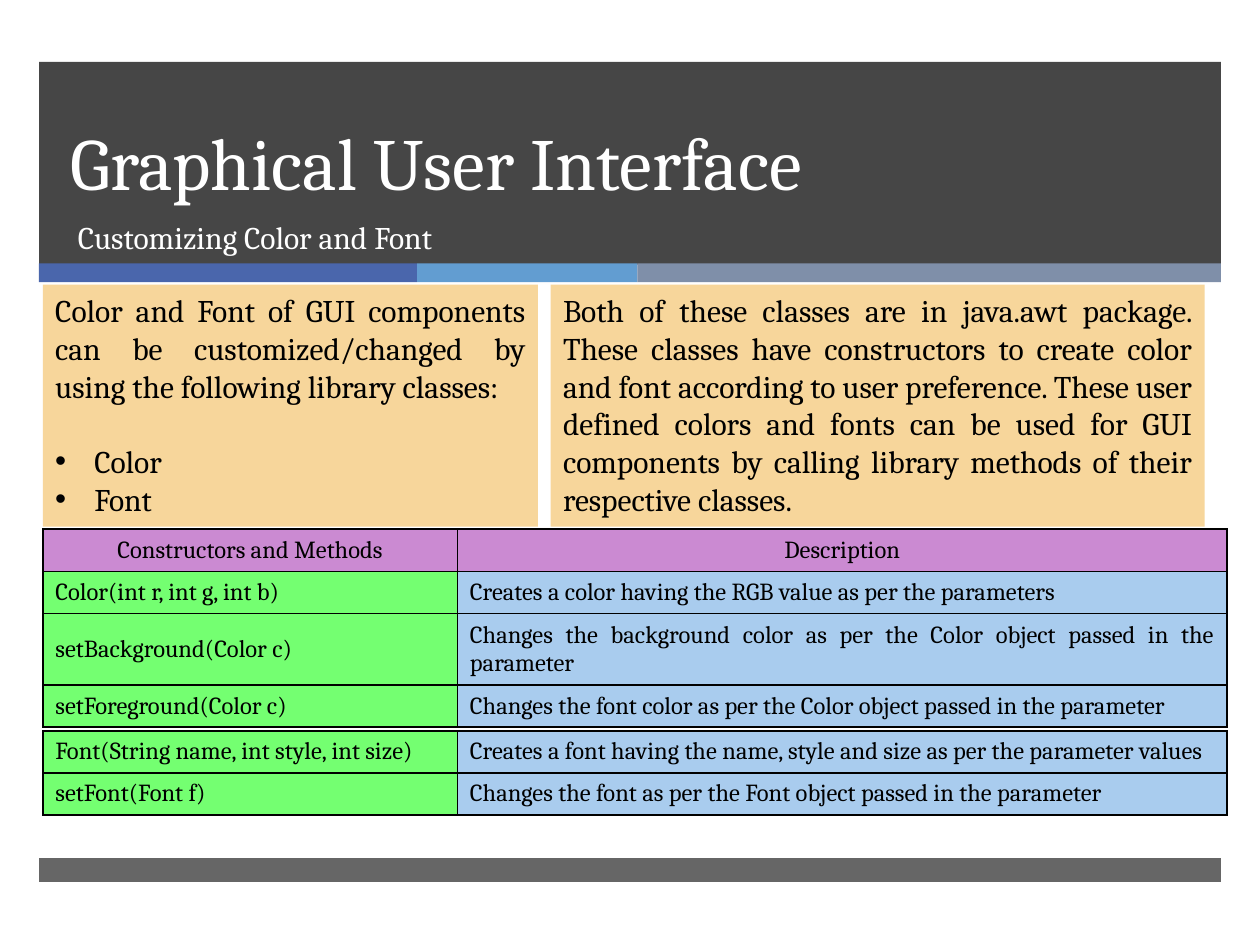
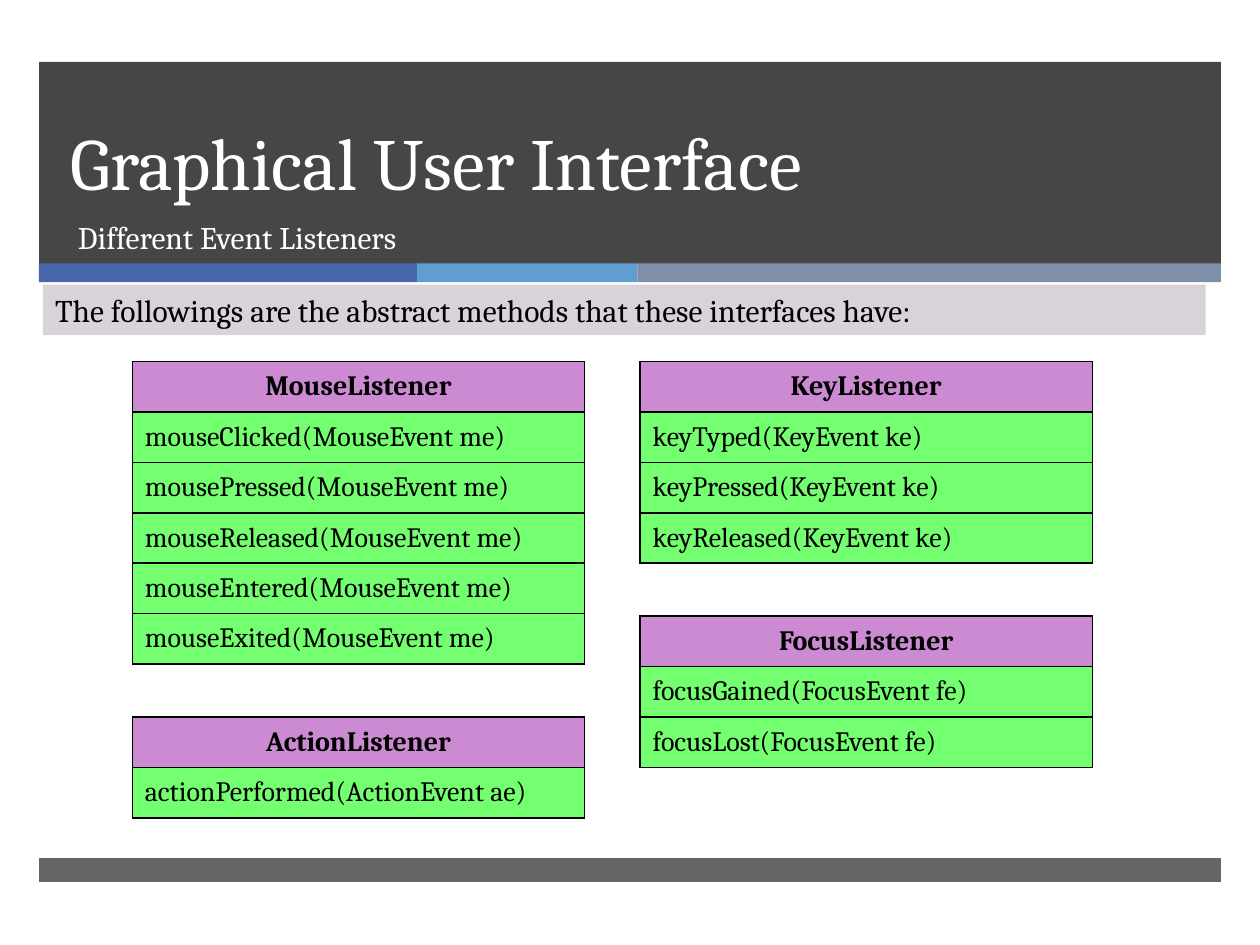
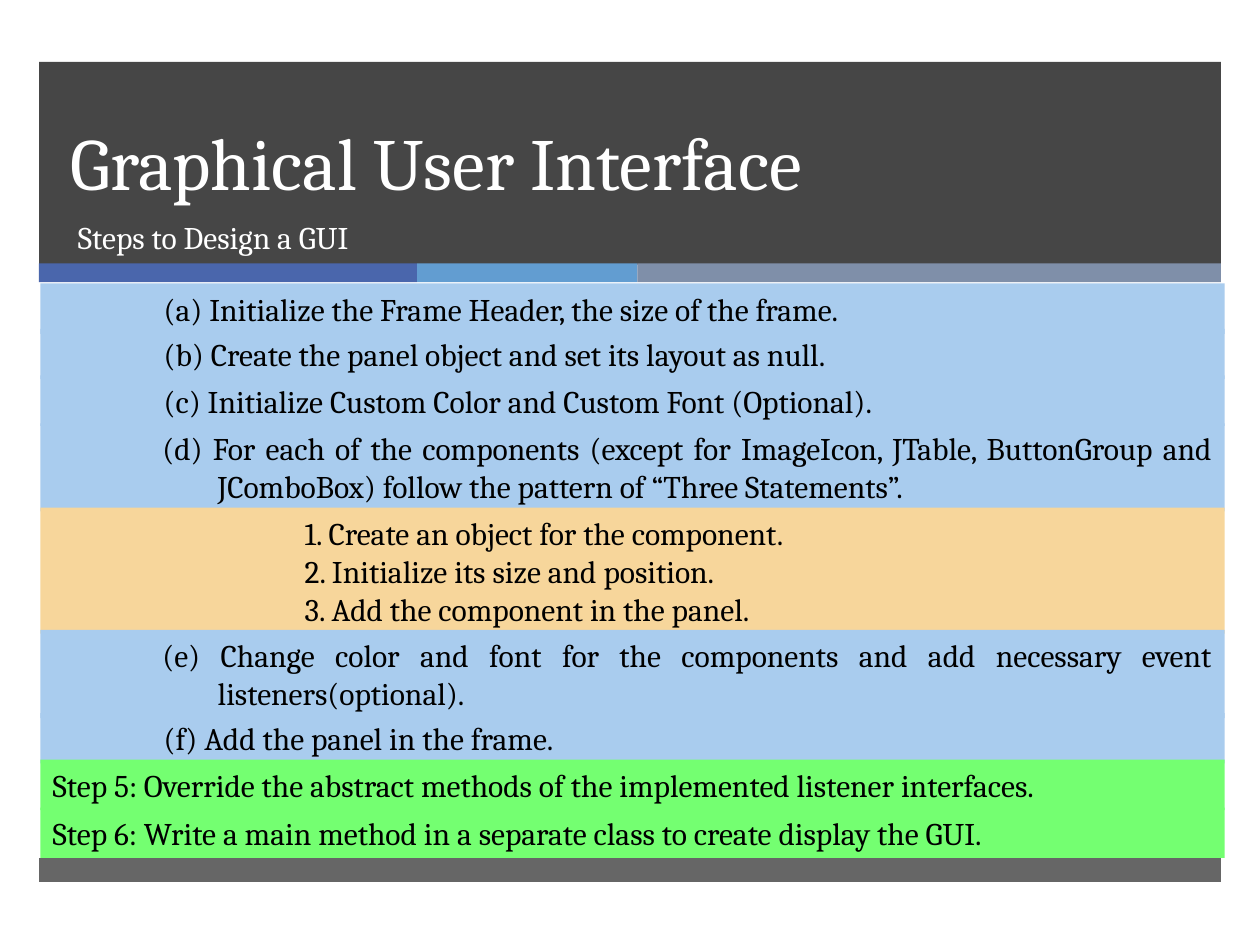
from lxml import etree
from pptx import Presentation
from pptx import util as u
from pptx.dml.color import RGBColor
from pptx.enum import shapes, text
from pptx.oxml import ns

INK = {
    "dark": "262626", "blue": "4A66AC", "sky": "629DD1", "slate": "7F8FA9",
    "white": "FFFFFF", "black": "000000", "sand": "F7D69B", "mist": "D8D3D9",
    "plum": "CB8AD2", "lime": "74FF71", "pale": "A9CCEE",
}
FACE = "Cambria"
LEFT, MID, JUST = text.PP_ALIGN.LEFT, text.PP_ALIGN.CENTER, text.PP_ALIGN.JUSTIFY
BANDS = [
    ((0.31, 0.49, 9.38, 1.61), "dark", 85),
    ((0.31, 2.09, 3, 0.15), "blue", 100),
    ((3.31, 2.09, 1.75, 0.15), "sky", 100),
    ((5.06, 2.09, 4.63, 0.15), "slate", 100),
    ((0.31, 6.81, 9.38, 0.19), "dark", 70),
]
LINE = 0.3
PAD = 0.05

INTRO = ("Color and Font of GUI components can be customized/changed "
         "by using the following library classes:")
USAGE = ("Both of these classes are in java.awt package. These classes have "
         "constructors to create color and font according to user preference. "
         "These user defined colors and fonts can be used for GUI components by "
         "calling library methods of their respective classes.")
COLORS = [
    ("Constructors and Methods", "Description"),
    ("Color(int r, int g, int b)", "Creates a color having the RGB value as per the parameters"),
    ("setBackground(Color c)",
     "Changes the background color as per the Color object passed in the parameter"),
    ("setForeground(Color c)",
     "Changes the font color as per the Color object passed in the parameter"),
]
FONTS = [
    ("Font(String name, int style, int size)",
     "Creates a font having the name, style and size as per the parameter values"),
    ("setFont(Font f)", "Changes the font as per the Font object passed in the parameter"),
]
HEARS = [
    [["MouseListener", "mouseClicked(MouseEvent me)", "mousePressed(MouseEvent me)",
      "mouseReleased(MouseEvent me)", "mouseEntered(MouseEvent me)",
      "mouseExited(MouseEvent me)"],
     ["ActionListener", "actionPerformed(ActionEvent ae)"]],
    [["KeyListener", "keyTyped(KeyEvent ke)", "keyPressed(KeyEvent ke)",
      "keyReleased(KeyEvent ke)"],
     ["FocusListener", "focusGained(FocusEvent fe)", "focusLost(FocusEvent fe)"]],
]
PART, WRAP, INNER, STEP = (0.88, 0), (1.31, -0.44), (2, 0), (0.88, -0.88)
STEPS = [
    (0, 1, "pale", PART, ["(a) Initialize the Frame Header, the size of the frame."]),
    (0.36, 1, "pale", PART, ["(b) Create the panel object and set its layout as null."]),
    (0.73, 1, "pale", PART, ["(c) Initialize Custom Color and Custom Font (Optional)."]),
    (1.11, 2, "pale", WRAP, ["(d) For each of the components (except for ImageIcon, JTable, "
                             "ButtonGroup and JComboBox) follow the pattern of "
                             "“Three Statements”."]),
    (1.78, 3, "sand", INNER, ["1. Create an object for the component.",
                              "2. Initialize its size and position.",
                              "3. Add the component in the panel."]),
    (2.75, 2, "pale", WRAP, ["(e) Change color and font for the components and add "
                             "necessary event listeners(optional)."]),
    (3.41, 1, "pale", PART, ["(f) Add the panel in the frame."]),
    (3.78, 1, "lime", STEP, ["Step 5: Override the abstract methods of the implemented "
                             "listener interfaces."]),
    (4.16, 1, "lime", STEP, ["Step 6: Write a main method in a separate class to create "
                             "display the GUI."]),
]


def rgb(name):
    """Look up a palette colour."""
    return RGBColor.from_string(INK[name])


def put(item, values):
    """Set every attribute in the dict on the item."""
    for key, value in values.items():
        setattr(item, key, value)


def place(box):
    """Turn a box of inches into lengths."""
    return [u.Inches(n) for n in box]


def paint(item, name):
    """Fill an item with a palette colour."""
    item.fill.solid()
    item.fill.fore_color.rgb = rgb(name)


def write(para, words, size, ink="black", bold=False, **form):
    """Fill a paragraph with formatted words."""
    run = para.add_run()
    run.text = words
    put(run.font, {"name": FACE, "size": u.Pt(size), "bold": bold})
    run.font.color.rgb = rgb(ink)
    put(para, form)


def indent(para, left, first):
    """Set the left and first-line indents."""
    props = para._p.get_or_add_pPr()
    props.set("marL", str(u.Inches(left)))
    props.set("indent", str(u.Inches(first)))
    return props


def bullet(para):
    """Give a paragraph a hanging round bullet."""
    props = indent(para, 0.31, -0.31)
    etree.SubElement(props, ns.qn("a:buFont")).set("typeface", "Arial")
    etree.SubElement(props, ns.qn("a:buChar")).set("char", "•")


def band(slide, box, name, alpha):
    """Draw one plain band of the frame."""
    shape = slide.shapes.add_shape(shapes.MSO_SHAPE.RECTANGLE, *place(box))
    shape.shadow.inherit = False
    shape.line.fill.background()
    paint(shape, name)
    if alpha < 100:
        tint = shape.element.spPr.find(".//" + ns.qn("a:srgbClr"))
        etree.SubElement(tint, ns.qn("a:alpha")).set("val", str(alpha * 1000))


def panel(slide, box, lines, fill=None, ink="black", align=JUST, dents=None):
    """Add a wrapped text panel and return its paragraphs."""
    shape = slide.shapes.add_textbox(*place(box))
    if fill:
        paint(shape, fill)
    frame = shape.text_frame
    frame.word_wrap = True
    for i, words in enumerate(lines):
        para = frame.add_paragraph() if i else frame.paragraphs[0]
        write(para, words, 18, ink, alignment=align)
        if dents:
            indent(para, *dents)
    return frame.paragraphs


def start(deck, topic):
    """Add a slide with its bands, title and topic line."""
    slide = deck.slides.add_slide(deck.slide_layouts[5])
    for args in BANDS:
        band(slide, *args)
    title = slide.shapes.title
    title.element.getparent().append(title.element)
    put(title, dict(zip(("left", "top", "width", "height"), place((0.46, 0.49, 8.54, 1.19)))))
    put(title.text_frame, {"vertical_anchor": text.MSO_ANCHOR.BOTTOM, "word_wrap": True,
                           "auto_size": text.MSO_AUTO_SIZE.NONE})
    write(title.text_frame.paragraphs[0], "Graphical User Interface", 42, "white",
          alignment=LEFT, line_spacing=u.Pt(46))
    panel(slide, (0.52, 1.68, 8.48, 0.53), [topic], ink="white", align=LEFT)
    return slide


def edge(cell):
    """Rule all four sides of a cell in black."""
    props = cell._tc.get_or_add_tcPr()
    for side in ("lnL", "lnR", "lnT", "lnB"):
        line = etree.SubElement(props, ns.qn("a:" + side), w=str(u.Pt(1)))
        fill = etree.SubElement(line, ns.qn("a:solidFill"))
        etree.SubElement(fill, ns.qn("a:srgbClr")).set("val", INK["black"])


def grid(slide, spot, cols, highs, rows, size, head=True, bold=False):
    """Add a ruled table with an optional heading row."""
    box = (*spot, sum(cols), sum(highs))
    table = slide.shapes.add_table(len(rows), len(cols), *place(box)).table
    put(table, {"first_row": False, "horz_banding": False})
    for col, wide in zip(table.columns, cols):
        col.width = u.Inches(wide)
    for r, (row, high) in enumerate(zip(rows, highs)):
        table.rows[r].height = u.Inches(high)
        top = head and r == 0
        for c, words in enumerate(row):
            cell = table.cell(r, c)
            edge(cell)
            paint(cell, "plum" if top else ("lime", "pale")[c])
            cell.vertical_anchor = text.MSO_ANCHOR.MIDDLE
            align = MID if top else (LEFT, JUST)[c]
            write(cell.text_frame.paragraphs[0], words, size, bold=bold and top,
                  alignment=align)


def custom(slide, box):
    """Show the colour and font classes above their methods."""
    x, y, wide, high = box
    paras = panel(slide, (x, y, 3.93, high), [INTRO, "Color", "Font"], "sand")
    paras[1].space_before = u.Pt(21.5)
    for para in paras[1:]:
        bullet(para)
    panel(slide, (x + 4.03, y, 5.19, high), [USAGE], "sand")
    row = 0.33
    cols = (3.29, wide - 3.29)
    grid(slide, (x, y + 1.94), cols, (row, row, 0.57, row), COLORS, 14)
    grid(slide, (x, y + 3.54), cols, (row, row), FONTS, 14, head=False)


def hear(slide, box):
    """Stack the listener tables in two columns under a lead line."""
    x, y, wide, high = box
    panel(slide, (x, y, wide, high),
          ["The followings are the abstract methods that these interfaces have:"], "mist")
    row, gap = 0.4, 0.42
    for i, stack in enumerate(HEARS):
        top = y + 0.61
        for names in stack:
            grid(slide, (x + 0.71 + 4.03 * i, top), (3.59,), [row] * len(names),
                 [(name,) for name in names], 16, bold=True)
            top += row * len(names) + gap


def steps(slide, box):
    """List the design steps as coloured strips."""
    x, y, wide = box
    for down, count, fill, dents, lines in STEPS:
        panel(slide, (x, y + down, wide, count * LINE + 2 * PAD), lines, fill, dents=dents)


def main():
    """Build and save the deck."""
    deck = Presentation()
    put(deck, {"slide_width": u.Inches(10), "slide_height": u.Inches(7.5)})
    custom(start(deck, "Customizing Color and Font"), (0.34, 2.26, 9.4, 1.92))
    hear(start(deck, "Different Event Listeners"), (0.34, 2.26, 9.23, 0.4))
    steps(start(deck, "Steps to Design a GUI"), (0.32, 2.25, 9.4))
    deck.save("out.pptx")


if __name__ == "__main__":
    main()
